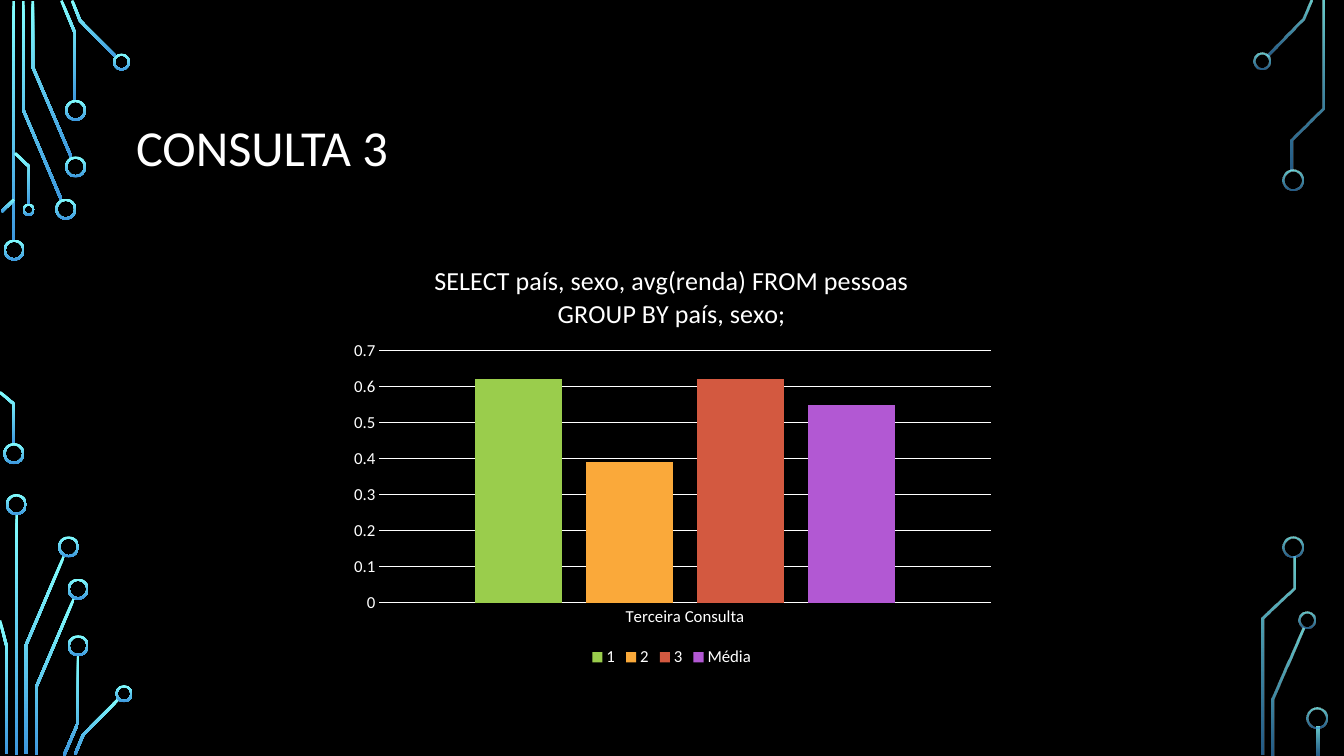
from math import hypot

from lxml import etree
from pptx import Presentation
from pptx.chart.data import CategoryChartData
from pptx.dml.color import RGBColor
from pptx.enum.chart import XL_CHART_TYPE as ChartType, XL_LEGEND_POSITION as LegendPosition
from pptx.enum.chart import XL_TICK_MARK as TickMark
from pptx.enum.shapes import MSO_SHAPE as Preset
from pptx.enum.text import MSO_ANCHOR as Anchor, PP_ALIGN as Align
from pptx.oxml import parse_xml
from pptx.oxml.ns import nsdecls, qn
from pptx.util import Pt

COLORS = {
    "background": "000000", "text": "FFFFFF", "glow": "82FFFF", "deep": "3D97DE",
    "1": "9ACD4C", "2": "FAA93A", "3": "D35940", "Média": "B258D3",
}
SOLID = (100, 100)
FADED = (80, 60)
LARGE, MEDIUM, SMALL = 15, 12.2, 8.8

# Centre lines of the circuit traces
LEFT_TRACES = [
    [(9.7, 0.7), (9.7, 172.8)],
    [(16.6, 0.7), (16.6, 78.5), (43.9, 142.9)],
    [(23.4, 0.7), (23.4, 47.9), (51.1, 112.7)],
    [(43.9, 0.4), (53.7, 23.8), (53.7, 72)],
    [(51.5, 0.4), (57.2, 14.8), (83.2, 41)],
    [(10.1, 142.6), (1.1, 151.2)],
    [(0, 280.1), (10.1, 288.7), (10.1, 317.5)],
    [(10.8, 109.4), (20.9, 119.2), (20.9, 146.2)],
    [(11.9, 367.2), (11.9, 539.3)],
    [(45.7, 397.1), (18.4, 461.2), (18.4, 538.6)],
    [(0, 443.2), (4.7, 461.5), (4.7, 538.6)],
    [(52.9, 427.3), (25.6, 491.4), (25.6, 539.3)],
    [(55.8, 468), (55.8, 516.2), (45.7, 539.6)],
    [(85, 499), (59.4, 524.9), (53.6, 538.9)],
]
RIGHT_TRACES = [
    [(936.4, 0.4), (930.6, 14), (905, 40)],
    [(931, 448.9), (909, 499.3), (909, 539.3)],
    [(945, 0.7), (945, 77.4), (923, 99.7), (923, 121.7)],
    [(924.1, 397.4), (924.1, 420.1), (901.8, 441.7), (901.8, 539.3)],
    [(941.4, 519.1), (941.4, 539.3)],
]
# Centre x, centre y and diameter of the circuit nodes
LEFT_NODES = [
    (10.1, 178.6, LARGE), (9.9, 324, LARGE), (47, 149.4, LARGE), (54, 119.2, LARGE),
    (54, 78.8, LARGE), (86.8, 44.3, MEDIUM), (20.5, 149.8, SMALL), (11.7, 360.4, LARGE),
    (49, 390.6, LARGE), (55.8, 420.8, LARGE), (55.8, 461.2, LARGE), (88.6, 495.5, MEDIUM),
]
RIGHT_NODES = [
    (901.2, 43.6, MEDIUM), (923.4, 128.5, LARGE), (933.5, 443.2, MEDIUM),
    (923.8, 390.6, LARGE), (940.7, 512.6, LARGE),
]


def rgb(name):
    return RGBColor.from_string(COLORS[name])


def band_outline(points, width):
    """Return the closed outline of a mitred band around a centre line."""
    normals = []
    for (x1, y1), (x2, y2) in zip(points, points[1:]):
        length = hypot(x2 - x1, y2 - y1)
        normals.append(((y1 - y2) / length, (x2 - x1) / length))
    left, right = [], []
    for (x, y), before, after in zip(points, normals[:1] + normals, normals + normals[-1:]):
        nx, ny = before[0] + after[0], before[1] + after[1]
        reach = width / (nx * nx + ny * ny)
        left.append((x + nx * reach, y + ny * reach))
        right.append((x - nx * reach, y - ny * reach))
    return left + right[::-1]


class CircuitSlide:
    font_name = "Calibri"
    trace_width = 1.9
    ring_width = 1.5

    def __init__(self, deck):
        self.slide = deck.slides.add_slide(deck.slide_layouts[5])
        self.shapes = self.slide.shapes
        self.slide.background.fill.solid()
        self.slide.background.fill.fore_color.rgb = rgb("background")

    def style_font(self, font, size):
        font.name, font.size, font.bold = self.font_name, Pt(size), False
        font.color.rgb = rgb("text")

    def glow(self, shape, opacities):
        shape.shadow.inherit = False
        shape.line.fill.background()
        shape.fill.gradient()
        shape.fill.gradient_angle = 270
        for stop, name, position in zip(shape.fill.gradient_stops, ("glow", "deep"), (0, 1)):
            stop.color.rgb = rgb(name)
            stop.position = position
        for color, opacity in zip(shape.element.spPr.iter(qn("a:srgbClr")), opacities):
            if opacity < 100:
                etree.SubElement(color, qn("a:alpha"), val=str(opacity * 1000))

    def trace(self, points, opacities):
        start, *rest = [(Pt(x), Pt(y)) for x, y in band_outline(points, self.trace_width)]
        builder = self.shapes.build_freeform(*start)
        builder.add_line_segments(rest, close=True)
        self.glow(builder.convert_to_shape(), opacities)

    def node(self, x, y, diameter, opacities):
        ring = self.shapes.add_shape(Preset.DONUT, Pt(x - diameter / 2), Pt(y - diameter / 2),
                                     Pt(diameter), Pt(diameter))
        ring.adjustments[0] = self.ring_width / diameter
        self.glow(ring, opacities)

    def title(self, text, left, top, width, height):
        heading = self.shapes.title
        heading.left, heading.top = Pt(left), Pt(top)
        heading.width, heading.height = Pt(width), Pt(height)
        frame = heading.text_frame
        frame.text = text
        frame.word_wrap = True
        frame.vertical_anchor = Anchor.MIDDLE
        paragraph = frame.paragraphs[0]
        paragraph.alignment = Align.LEFT
        paragraph.line_spacing = 0.9
        self.style_font(paragraph.font, 36)

    def column_chart(self, query, category, averages, left, top, width, height):
        data = CategoryChartData()
        data.categories = [category]
        for name, average in averages.items():
            data.add_series(name, [average])
        chart = self.shapes.add_chart(ChartType.COLUMN_CLUSTERED, Pt(left), Pt(top),
                                      Pt(width), Pt(height), data).chart
        self.style_font(chart.font, 10)

        chart.has_title = True
        chart.chart_title.include_in_layout = False
        heading = chart.chart_title.text_frame
        heading.text = query
        self.style_font(heading.paragraphs[0].font, 18.6)

        chart.has_legend = True
        chart.legend.position = LegendPosition.BOTTOM
        chart.legend.include_in_layout = False
        self.style_font(chart.legend.font, 12)

        plot = chart.plots[0]
        plot.gap_width, plot.overlap, plot.vary_by_categories = 219, -27, False
        for series in plot.series:
            series.format.fill.solid()
            series.format.fill.fore_color.rgb = rgb(series.name)

        averages_axis = chart.value_axis
        averages_axis.minimum_scale, averages_axis.maximum_scale = 0, 0.7
        averages_axis.major_unit = 0.1
        averages_axis.has_major_gridlines = True
        averages_axis.format.line.fill.background()
        for axis in (chart.category_axis, averages_axis):
            axis.major_tick_mark = axis.minor_tick_mark = TickMark.NONE
            self.style_font(axis.tick_labels.font, 12)
        for line in (chart.category_axis.format.line, averages_axis.major_gridlines.format.line):
            line.color.rgb = rgb("text")
            line.width = Pt(0.75)
        self.place_plot(chart, x=0.06, y=0.25, w=0.92, h=0.59)

    def place_plot(self, chart, **fractions):
        """Fix the inner plot area as fractions of the chart's size."""
        area = chart.element.find(".//" + qn("c:plotArea"))
        for automatic in area.findall(qn("c:layout")):
            area.remove(automatic)
        sizes = "".join(f'<c:{key} val="{value}"/>' for key, value in fractions.items())
        area.insert(0, parse_xml(
            f'<c:layout {nsdecls("c")}><c:manualLayout><c:layoutTarget val="inner"/>'
            f'<c:xMode val="edge"/><c:yMode val="edge"/>{sizes}</c:manualLayout></c:layout>'))


def main():
    deck = Presentation()
    deck.slide_width, deck.slide_height = Pt(960), Pt(540)
    page = CircuitSlide(deck)
    for traces, nodes, opacities in ((LEFT_TRACES, LEFT_NODES, SOLID),
                                     (RIGHT_TRACES, RIGHT_NODES, FADED)):
        for points in traces:
            page.trace(points, opacities)
        for x, y, diameter in nodes:
            page.node(x, y, diameter, opacities)
    page.title("CONSULTA 3", 90, 49, 780, 116.6)
    page.column_chart("SELECT país, sexo, avg(renda) FROM pessoas GROUP BY país, sexo;",
                      "Terceira Consulta", {"1": 0.62, "2": 0.39, "3": 0.62, "Média": 0.55},
                      242.6, 174.2, 474.5, 305.3)
    deck.save("out.pptx")


if __name__ == "__main__":
    main()
